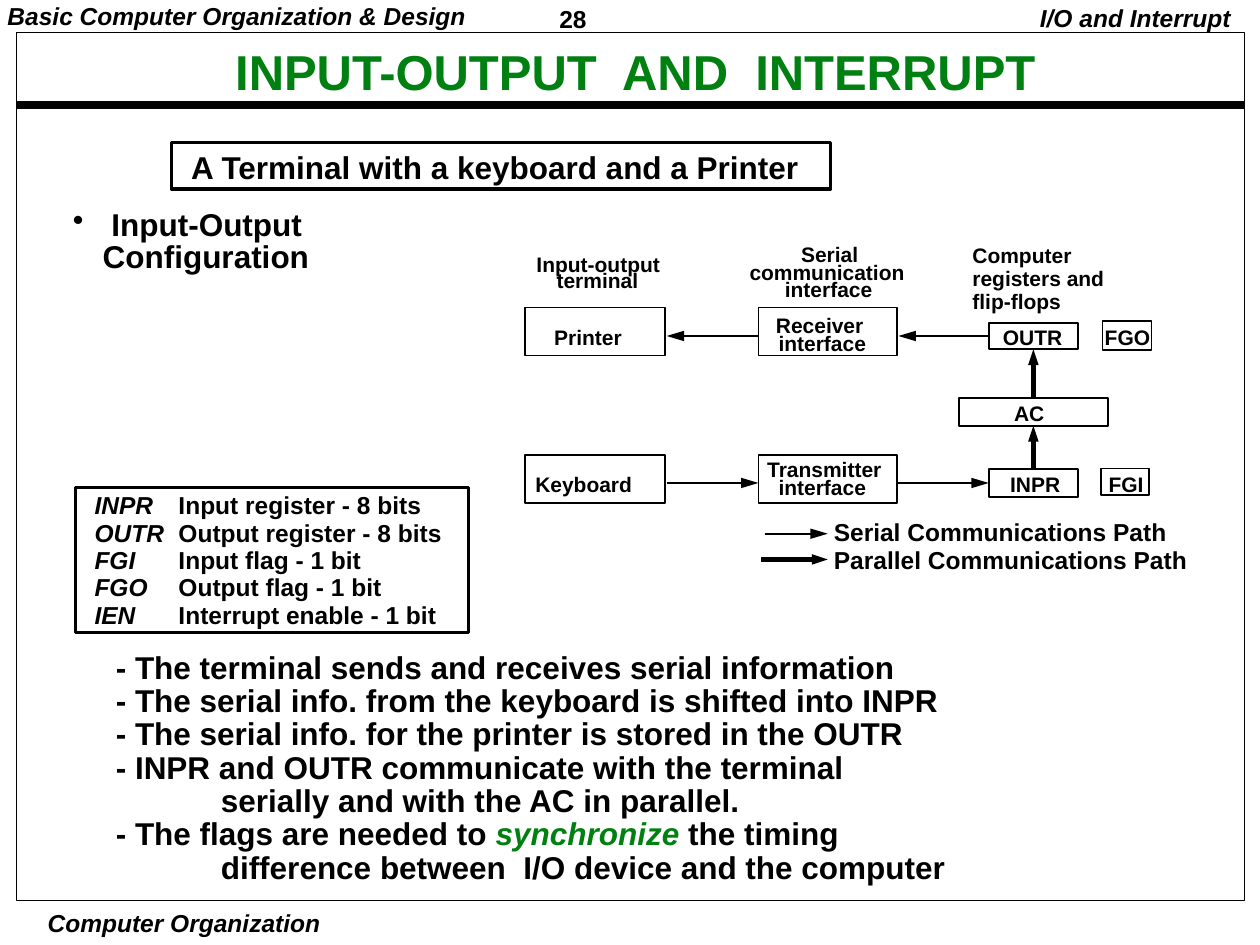
import pptx
import pptx.dml.color
import pptx.enum.shapes
import pptx.enum.text
import pptx.oxml
import pptx.util
from lxml import etree

Pt = pptx.util.Pt
BLACK = pptx.dml.color.RGBColor(0, 0, 0)
GREEN = pptx.dml.color.RGBColor(0x00, 0x80, 0x11)
ALIGN = pptx.enum.text.PP_ALIGN
A = "http://schemas.openxmlformats.org/drawingml/2006/main"

prs = pptx.Presentation()
prs.slide_width, prs.slide_height = Pt(720), Pt(540)
s = prs.slides.add_slide(prs.slide_layouts[5])


def write(sp, text, size, spacing=0.9, inset=(7.2, 3.6), color=BLACK,
          italic=False, align=ALIGN.LEFT, wrap=False):
    """Fill a text shape and format every paragraph and run."""
    tf = sp.text_frame
    tf.text = text
    tf.word_wrap = wrap
    tf.auto_size = pptx.enum.text.MSO_AUTO_SIZE.SHAPE_TO_FIT_TEXT
    tf.vertical_anchor = pptx.enum.text.MSO_ANCHOR.TOP
    tf.margin_left = tf.margin_right = Pt(inset[0])
    tf.margin_top = tf.margin_bottom = Pt(inset[1])
    for p in tf.paragraphs:
        p.alignment, p.line_spacing = align, spacing
        for r in p.runs:
            f = r.font
            f.name, f.size, f.bold, f.italic = "Arial", Pt(size), True, italic
            f.color.rgb = color
    return tf


def line(x1, y1, x2, y2, width, head=None, begin=None, end=None):
    """Draw a line; head is (width, length), begin and end are (shape, site)."""
    c = s.shapes.add_connector(pptx.enum.shapes.MSO_CONNECTOR.STRAIGHT,
                               Pt(x1), Pt(y1), Pt(x2), Pt(y2))
    c.line.color.rgb, c.line.width = BLACK, Pt(width)
    if head:
        etree.SubElement(c.line._get_or_add_ln(), f"{{{A}}}tailEnd",
                         type="triangle", w=head[0], len=head[1])
    etree.SubElement(c._element.spPr, f"{{{A}}}effectLst")
    if begin:
        c.begin_connect(*begin)
    if end:
        c.end_connect(*end)


# Title
sp = s.shapes.title
sp.left, sp.top, sp.width, sp.height = Pt(78.5), Pt(26), Pt(569), Pt(33)
write(sp, "INPUT-OUTPUT  AND  INTERRUPT", 28, 0.87, (5, 2.2), GREEN,
      align=ALIGN.CENTER, wrap=True)

# Frames and diagram boxes: left, top, width, height, line width
boxes = {}
for name, x, y, w, h, weight in [
    ("page", 9.4, 18.7, 702, 496, 0.5),
    ("subtitle", 98, 81.4, 376.6, 26.6, 2),
    ("legend", 43.2, 278.6, 224.6, 82.8, 2),
    ("Printer", 300.2, 175.7, 80, 27.4, 1),
    ("Keyboard", 300.2, 260, 80, 27.4, 1),
    ("Receiver", 433.4, 175.7, 79.2, 27.4, 1),
    ("Transmitter", 433.4, 260, 79.2, 27.4, 1),
    ("OUTR", 565, 184.4, 51, 15.2, 1),
    ("AC", 548, 227.5, 85, 15.8, 1),
    ("INPR", 565, 268, 51, 16, 1),
    ("FGO", 630, 183.6, 28, 16.6, 1),
    ("FGI", 629.3, 267.8, 27.4, 15.1, 1),
]:
    sp = s.shapes.add_shape(pptx.enum.shapes.MSO_SHAPE.RECTANGLE,
                            Pt(x), Pt(y), Pt(w), Pt(h))
    sp.shadow.inherit = False
    sp.fill.background()
    sp.line.color.rgb, sp.line.width = BLACK, Pt(weight)
    boxes[name] = sp
line(9.4, 59.8, 710.6, 59.8, 4.5)

# Serial and parallel paths, with their key
SERIAL, PARALLEL = ("med", "lg"), ("sm", "med")
line(565, 192, 513.4, 192, 1, SERIAL, begin=(boxes["OUTR"], 1))
line(433.4, 192, 381, 192, 1, SERIAL)
line(381, 276, 433.4, 276, 1, SERIAL)
line(513.4, 276, 565, 276, 1, SERIAL, end=(boxes["INPR"], 1))
for lower, upper in [("INPR", "AC"), ("AC", "OUTR")]:
    line(590.5, 268, 590.5, 200, 3, PARALLEL,
         begin=(boxes[lower], 0), end=(boxes[upper], 2))
line(437, 305, 473, 305, 1, SERIAL)
line(435, 319.7, 473, 319.7, 3, PARALLEL)

# Left-aligned labels: text, left, top, width, height, size
for text, x, y, w, h, size in [
    ("A Terminal with a keyboard and a Printer", 102.2, 83.5, 372, 26.6, 18),
    ("Input-output", 299.5, 141.8, 94, 20, 12),
    ("terminal", 311, 151.2, 70, 20, 12),
    ("Serial", 450.7, 136, 56, 20, 12),
    ("communication", 421.2, 146.2, 112, 20, 12),
    ("interface", 441.4, 156.2, 73, 20, 12),
    ("Computer\nregisters and\nflip-flops", 548.6, 136.8, 99, 59, 12),
    ("Printer", 309.6, 183.6, 62, 20, 12),
    ("Keyboard", 298.8, 267.8, 79, 20, 12),
    ("Receiver", 436.3, 176.4, 73, 20, 12),
    ("interface", 437.8, 187.2, 73, 20, 12),
    ("Transmitter", 431.3, 259.2, 90, 20, 12),
    ("interface", 437.8, 269.3, 73, 20, 12),
    ("OUTR", 566, 183.6, 57, 20, 12),
    ("FGO", 624.2, 183.6, 49, 20, 12),
    ("AC", 572.4, 226.8, 41, 20, 12),
    ("INPR", 570.2, 267.8, 52, 20, 12),
    ("FGI", 626.4, 267.8, 44, 20, 12),
    ("Serial Communications Path", 469.4, 293.8, 216, 22.3, 14),
    ("Parallel Communications Path", 469.4, 309.6, 228, 22.3, 14),
]:
    write(s.shapes.add_textbox(Pt(x), Pt(y), Pt(w), Pt(h)), text, size)

# Header and footer
for text, x, y, w, h, spacing, inset, italic, align in [
    ("Basic Computer Organization & Design", -0.7, 0, 290, 19.4, 0.9,
     (5, 2.2), True, ALIGN.LEFT),
    ("28", 314.6, 0, 77.8, 21, 1.01, (5, 2.2), False, ALIGN.LEFT),
    ("I/O and Interrupt", 570.5, 0, 140, 22.3, 0.9,
     (7.2, 3.6), True, ALIGN.RIGHT),
    ("Computer Organization", 15.2, 518.4, 180, 18.7, 1.0,
     (2.2, 0.7), True, ALIGN.CENTER),
]:
    write(s.shapes.add_textbox(Pt(x), Pt(y), Pt(w), Pt(h)), text, 14,
          spacing, inset, italic=italic, align=align)

# Bulleted heading
sp = s.shapes.add_textbox(Pt(36.7), Pt(118), Pt(253.4), Pt(40))
tf = write(sp, " Input-Output\vConfiguration", 18, 0.85, (5, 2.2))
pPr = tf.paragraphs[0]._p.get_or_add_pPr()
pPr.set("marL", str(Pt(17)))
pPr.set("indent", str(Pt(-17)))
etree.SubElement(pPr, f"{{{A}}}buChar", char="•")

# Register legend: italic names, hanging descriptions
sp = s.shapes.add_textbox(Pt(49), Pt(279.4), Pt(306), Pt(82))
tf = write(sp, "INPR\tInput register - 8 bits\n"
               "OUTR\tOutput register - 8 bits\n"
               "FGI\tInput flag - 1 bit\n"
               "FGO\tOutput flag - 1 bit\n"
               "IEN\tInterrupt enable - 1 bit", 14, 0.93, (5, 2.2), wrap=True)
for p in tf.paragraphs:
    pPr = p._p.get_or_add_pPr()
    pPr.set("marL", str(Pt(48)))
    pPr.set("indent", str(Pt(-48)))
    name, meaning = p.runs[0].text.split("\t")
    p.runs[0].text = name + "\t"
    p.runs[0].font.italic = True
    r = p.add_run()
    r.text = meaning
    r.font.name, r.font.size, r.font.bold = "Arial", Pt(14), True
    r.font.color.rgb = BLACK

# Explanatory notes
sp = s.shapes.add_textbox(Pt(61.2), Pt(370.8), Pt(500), Pt(137.5))
notes = ["- The terminal sends and receives serial information",
         "- The serial info. from the keyboard is shifted into INPR",
         "- The serial info. for the printer is stored in the OUTR",
         "- INPR and OUTR communicate with the terminal",
         "\tserially and with the AC in parallel.",
         "- The flags are needed to ",
         "\tdifference between  I/O device and the computer"]
tf = write(sp, "\n".join(notes), 18, 0.88, (5, 2.2))
for p in tf.paragraphs:
    tabs = etree.SubElement(p._p.get_or_add_pPr(), f"{{{A}}}tabLst")
    etree.SubElement(tabs, f"{{{A}}}tab", pos=str(Pt(60)), algn="l")
for text, color, italic in [("synchronize", GREEN, True),
                            (" the timing", BLACK, False)]:
    r = tf.paragraphs[5].add_run()
    r.text = text
    r.font.name, r.font.size, r.font.bold = "Arial", Pt(18), True
    r.font.italic, r.font.color.rgb = italic, color

prs.save("out.pptx")
